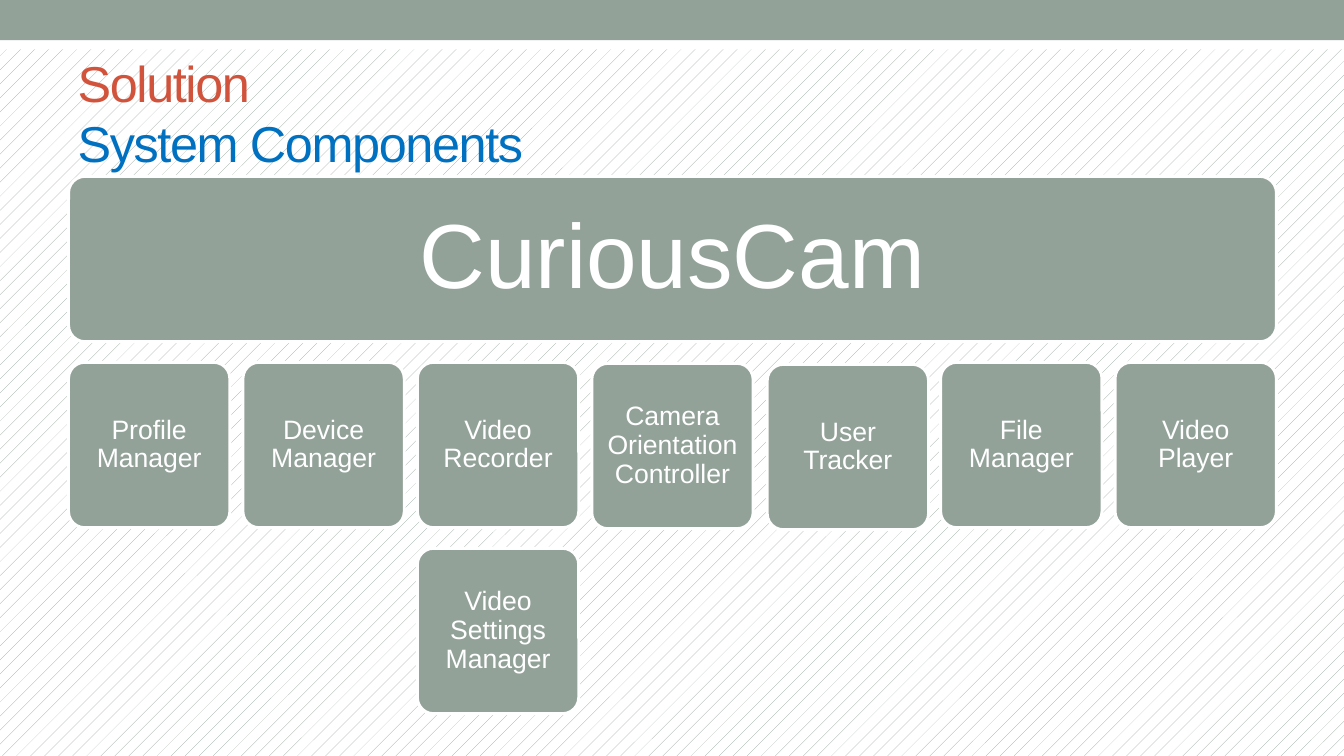
from dataclasses import dataclass

from pptx import Presentation
from pptx.dml.color import RGBColor
from pptx.enum.dml import MSO_PATTERN
from pptx.enum.shapes import MSO_SHAPE
from pptx.enum.text import MSO_ANCHOR, MSO_AUTO_SIZE, PP_ALIGN
from pptx.shapes.autoshape import Shape
from pptx.slide import Slide
from pptx.text.text import _Paragraph
from pptx.util import Inches, Length, Pt


@dataclass(frozen=True)
class Theme:
    font: str = "Arial"
    sage: RGBColor = RGBColor(0x93, 0xA2, 0x99)
    white: RGBColor = RGBColor(0xFF, 0xFF, 0xFF)
    red: RGBColor = RGBColor(0xD2, 0x53, 0x3C)
    blue: RGBColor = RGBColor(0x00, 0x70, 0xC0)
    title_size: Length = Pt(36)
    title_leading: Length = Pt(43)
    system_size: Length = Pt(65)
    component_size: Length = Pt(19)
    outline: Length = Pt(2.08)


@dataclass(frozen=True)
class Component:
    label: str
    column: int
    row: int = 1
    shift_right: float = 0
    shift_down: float = 0


THEME = Theme()
SLIDE_WIDTH, SLIDE_HEIGHT = 13.33, 7.5
GRID_LEFT, GRID_TOP = 0.68, 1.75
COLUMN_STEP, ROW_STEP = 1.73, 1.845
BOX_WIDTH, BOX_HEIGHT = 1.6, 1.64
SYSTEM_WIDTH = 11.98

COMPONENTS = [
    Component("Profile Manager", 0),
    Component("Device Manager", 1),
    Component("Video Recorder", 2),
    Component("Video Settings Manager", 2, row=2),
    Component("Camera Orientation Controller", 3, shift_down=0.01),
    Component("User Tracker", 4, shift_right=0.01, shift_down=0.02),
    Component("File Manager", 5),
    Component("Video Player", 6),
]


def add_span(para: _Paragraph, text: str, size: Length, color: RGBColor) -> None:
    span = para.add_run()
    span.text = text
    span.font.name = THEME.font
    span.font.size = size
    span.font.color.rgb = color


def add_band(page: Slide, top: float, height: float, color: RGBColor) -> None:
    band = page.shapes.add_shape(
        MSO_SHAPE.RECTANGLE, 0, Inches(top), Inches(SLIDE_WIDTH), Inches(height)
    )
    band.shadow.inherit = False
    band.fill.solid()
    band.fill.fore_color.rgb = color
    band.line.fill.background()


def add_box(page: Slide, component: Component, width: float, size: Length) -> Shape:
    box = page.shapes.add_shape(
        MSO_SHAPE.ROUNDED_RECTANGLE,
        Inches(GRID_LEFT + component.column * COLUMN_STEP + component.shift_right),
        Inches(GRID_TOP + component.row * ROW_STEP + component.shift_down),
        Inches(width),
        Inches(BOX_HEIGHT),
    )
    box.adjustments[0] = 0.1
    box.shadow.inherit = False
    box.fill.solid()
    box.fill.fore_color.rgb = THEME.sage
    box.line.color.rgb = THEME.white
    box.line.width = THEME.outline
    frame = box.text_frame
    frame.word_wrap = True
    frame.vertical_anchor = MSO_ANCHOR.MIDDLE
    frame.margin_left = frame.margin_right = Inches(0.1)
    frame.margin_top = frame.margin_bottom = Inches(0.1)
    para = frame.paragraphs[0]
    para.alignment = PP_ALIGN.CENTER
    para.line_spacing = 0.9
    add_span(para, component.label, size, THEME.white)
    return box


def fill_title(page: Slide) -> None:
    title = page.shapes.title
    title.left, title.top = Inches(0.67), Inches(0.58)
    title.width, title.height = Inches(12), Inches(1.08)
    frame = title.text_frame
    frame.auto_size = MSO_AUTO_SIZE.NONE
    frame.vertical_anchor = MSO_ANCHOR.MIDDLE
    para = frame.paragraphs[0]
    para.alignment = PP_ALIGN.LEFT
    para.line_spacing = THEME.title_leading
    add_span(para, "Solution", THEME.title_size, THEME.red)
    para.add_line_break()
    add_span(para, "System Components", THEME.title_size, THEME.blue)
    for span in para.runs:
        span.font._element.set("spc", "-100")


def build_deck() -> None:
    deck = Presentation()
    deck.slide_width, deck.slide_height = Inches(SLIDE_WIDTH), Inches(SLIDE_HEIGHT)
    page = deck.slides.add_slide(deck.slide_layouts.get_by_name("Title Only"))
    backdrop = page.background.fill
    backdrop.patterned()
    backdrop.pattern = MSO_PATTERN.PERCENT_5
    backdrop.fore_color.rgb = THEME.sage
    backdrop.back_color.rgb = THEME.white
    add_band(page, 0.24, 0.25, THEME.white)
    add_band(page, 0, 0.4, THEME.sage)
    fill_title(page)
    add_box(page, Component("CuriousCam", 0, row=0), SYSTEM_WIDTH, THEME.system_size)
    for component in COMPONENTS:
        add_box(page, component, BOX_WIDTH, THEME.component_size)
    deck.save("out.pptx")


build_deck()
